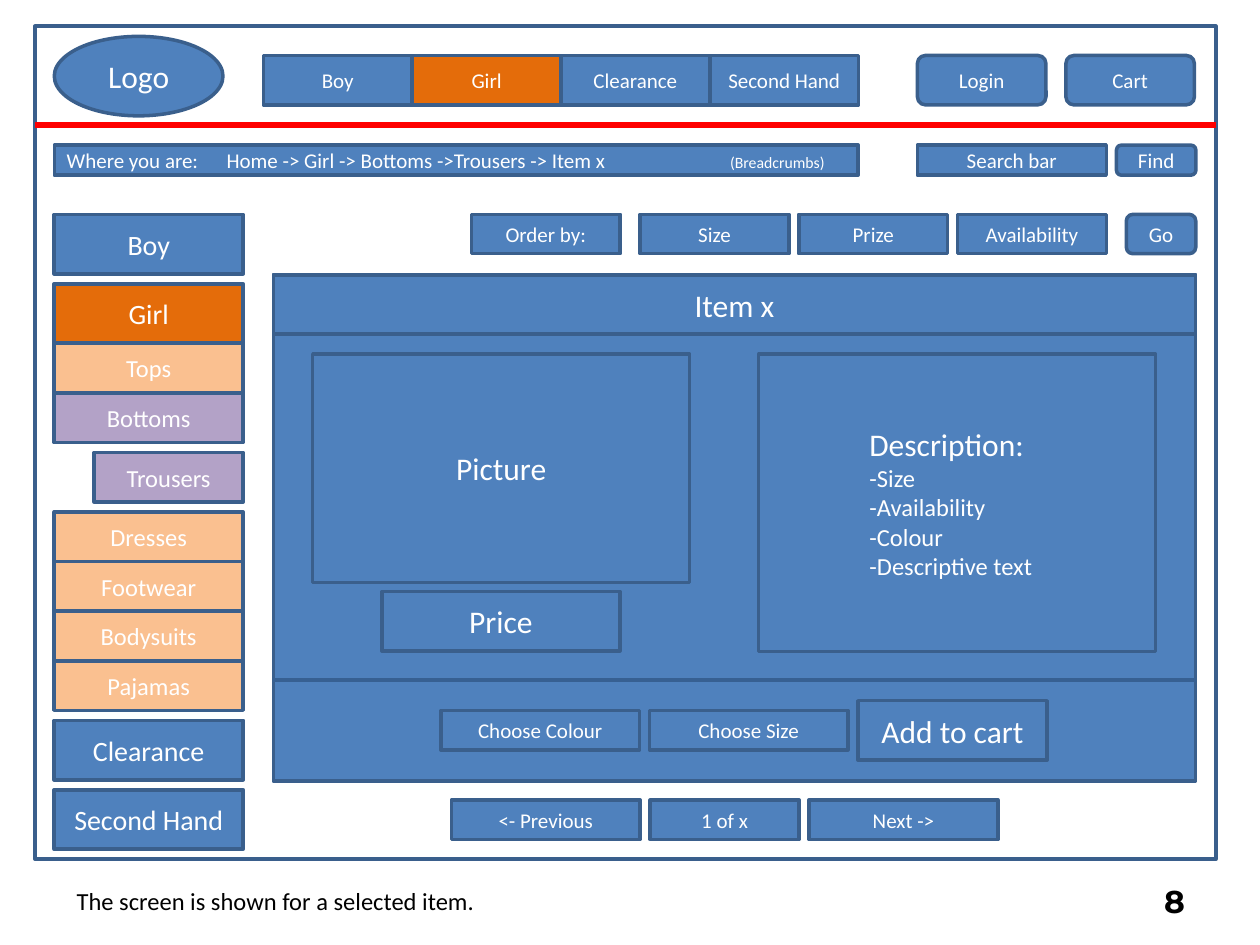
from lxml import etree
from pptx import Presentation
from pptx.dml.color import RGBColor
from pptx.enum.shapes import MSO_CONNECTOR, MSO_SHAPE
from pptx.enum.text import MSO_ANCHOR, PP_ALIGN
from pptx.oxml.ns import qn
from pptx.util import Pt

RECT, ROUND, OVAL = MSO_SHAPE.RECTANGLE, MSO_SHAPE.ROUNDED_RECTANGLE, MSO_SHAPE.OVAL
STRAIGHT = MSO_CONNECTOR.STRAIGHT
LEFT, CENTER, RIGHT = PP_ALIGN.LEFT, PP_ALIGN.CENTER, PP_ALIGN.RIGHT
TOP, MIDDLE = MSO_ANCHOR.TOP, MSO_ANCHOR.MIDDLE

BLUE, ORANGE, PEACH, PURPLE = "4F81BD", "E46C0A", "FAC090", "B3A2C7"
EDGE, DIVIDER, RED, WHITE, BLACK = "3A5F8C", "376092", "FF0000", "FFFFFF", "000000"
GAP = 5.67
SMALL, WIDE = 85.05, 108


def color(value):
    """Turn a hex string into a colour."""
    return RGBColor.from_string(value)


def set_tabs(para, stops):
    """Give a paragraph its tab stops as (position in points, alignment)."""
    tab_list = etree.SubElement(para._p.get_or_add_pPr(), qn("a:tabLst"))
    for position, alignment in stops:
        etree.SubElement(tab_list, qn("a:tab"), pos=str(Pt(position)), algn=alignment)


def write(box, paragraphs, size=12, ink=WHITE, font="Calibri", bold=False,
          align=CENTER, anchor=MIDDLE, tabs=()):
    """Write text; each paragraph is a string or a list of (text, size) spans."""
    frame = box.text_frame
    frame.word_wrap = True
    frame.vertical_anchor = anchor
    if isinstance(paragraphs, str):
        paragraphs = [paragraphs]
    for index, content in enumerate(paragraphs):
        para = frame.paragraphs[0] if index == 0 else frame.add_paragraph()
        para.alignment = align
        if tabs:
            set_tabs(para, tabs)
        spans = [(content, size)] if isinstance(content, str) else content
        for text, span_size in spans:
            span = para.add_run()
            span.text = text
            span.font.name = font
            span.font.size = Pt(span_size)
            span.font.bold = bold
            span.font.color.rgb = color(ink)


def add_block(page, left, top, width, height, text=None, kind=RECT, fill=BLUE, **style):
    """Add an outlined block with optional text."""
    block = page.shapes.add_shape(kind, Pt(left), Pt(top), Pt(width), Pt(height))
    block.shadow.inherit = False
    if fill:
        block.fill.solid()
        block.fill.fore_color.rgb = color(fill)
    else:
        block.fill.background()
    block.line.color.rgb = color(EDGE)
    block.line.width = Pt(2)
    if text:
        write(block, text, **style)
    return block


def add_row(page, left, top, height, items, gap=GAP, **style):
    """Add blocks side by side; items are (text, width)."""
    for text, width in items:
        add_block(page, left, top, width, height, text, **style)
        left += width + gap


def add_rule(page, left, top, width, ink, weight):
    """Add a horizontal line."""
    rule = page.shapes.add_connector(STRAIGHT, Pt(left), Pt(top), Pt(left + width), Pt(top))
    rule.line.color.rgb = color(ink)
    rule.line.width = Pt(weight)
    etree.SubElement(rule._element.spPr, qn("a:effectLst"))


def add_label(page, left, top, width, height, text, **style):
    """Add a plain text box."""
    write(page.shapes.add_textbox(Pt(left), Pt(top), Pt(width), Pt(height)), text, **style)


def header(page, left, top):
    """Draw the logo, the main navigation and the account buttons."""
    add_block(page, left, top, 96.4, 45.4, "Logo", kind=OVAL, size=18)
    for index, name in enumerate(("Boy", "Girl", "Clearance", "Second Hand")):
        add_block(page, left + 119.5 + index * SMALL, top + 10.9, SMALL, 28.3, name,
                  fill=ORANGE if name == "Girl" else BLUE)
    add_row(page, left + 493.2, top + 10.9, 28.3, [("Login", 73.5), ("Cart", 73.5)],
            gap=2 * GAP, kind=ROUND)


def search_row(page, left, top):
    """Draw the breadcrumb bar and the search field."""
    trail = "Where you are:\tHome -> Girl -> Bottoms ->Trousers -> Item x\t"
    add_block(page, left, top, 459.3, 17.2, [[(trail, 12), ("(Breadcrumbs) ", 9), (" ", 12)]],
              align=LEFT, tabs=[(91.4, "l"), (437.8, "r")])
    add_block(page, left + 493.2, top, WIDE, 17.2, "Search bar")
    add_block(page, left + 607, top, 45.4, 17.2, "Find", kind=ROUND)


def sort_row(page, left, top):
    """Draw the sorting controls."""
    add_block(page, left, top, SMALL, 22.5, "Order by:")
    names = ("Size", "Prize", "Availability")
    add_row(page, left + 96.4, top, 22.5, [(name, SMALL) for name in names])
    add_block(page, left + 374.2, top, 39.7, 22.5, "Go", kind=ROUND)


def side_menu(page, left, top):
    """Stack the category menu; entries are (text, fill, gap above)."""
    entries = [
        ("Boy", BLUE, 0), ("Girl", ORANGE, GAP), ("Tops", PEACH, 0),
        ("Bottoms", PURPLE, 0), ("Trousers", PURPLE, GAP), ("Dresses", PEACH, GAP),
        ("Footwear", PEACH, 0), ("Bodysuits", PEACH, 0), ("Pajamas", PEACH, 0),
        ("Clearance", BLUE, GAP), ("Second Hand", BLUE, GAP),
    ]
    for text, fill, gap in entries:
        main = fill in (BLUE, ORANGE)
        indent = 22.8 if text == "Trousers" else 0
        height = 34 if main else 28.35
        top += gap
        add_block(page, left + indent, top, WIDE - indent, height, text,
                  fill=fill, size=16 if main else 14)
        top += height


def item_panel(page, left, top, width, height):
    """Draw the selected item with its details and purchase controls."""
    add_block(page, left, top, width, height)
    add_block(page, left, top, width, 34, "Item x", size=18)
    add_block(page, left + 22.5, top + 45.4, 215.4, 130.4, "Picture", size=18)
    details = [[("\t", 14), ("Description:", 18)], "\t-Size", "\t-Availability",
               "\t-Colour", "\t-Descriptive text"]
    add_block(page, left + 277.3, top + 45.4, 226.8, 170, details, size=14,
              align=LEFT, tabs=[(56.2, "l")])
    add_block(page, left + 62, top + 181, 136, 34, "Price", size=18)
    add_rule(page, left, top + 231.8, width, DIVIDER, 2.25)
    add_row(page, left + 95.8, top + 249.1, 22.5,
            [("Choose Colour", 113.4), ("Choose Size", 113.4)])
    add_block(page, left + 334.1, top + 243.4, WIDE, 34, "Add to cart", size=18)


def pager(page, left, top):
    """Draw the page navigation."""
    add_row(page, left, top, 22.5, [("<- Previous", WIDE), ("1 of x", SMALL), ("Next ->", WIDE)])


def footer(page, left, top):
    """Write the caption and the page number."""
    add_label(page, left, top, 663, 24.5, "The screen is shown for a selected item. ",
              size=14, ink=BLACK, align=LEFT, anchor=TOP)
    add_label(page, left + 479.5, top - 2.2, 168, 28.8, "8", size=18, ink=BLACK,
              font="Montserrat", bold=True, align=RIGHT)


def main():
    """Build the deck with its single wireframe page."""
    deck = Presentation()
    deck.slide_width, deck.slide_height = Pt(720), Pt(540)
    page = deck.slides.add_slide(deck.slide_layouts[6])
    add_block(page, 20, 15, 674.8, 476, fill=None)
    add_rule(page, 20, 71.5, 674.8, RED, 3)
    header(page, 31, 20.8)
    search_row(page, 31, 82.9)
    sort_row(page, 269.4, 122.5)
    side_menu(page, 31, 122.5)
    item_panel(page, 156.2, 157, 527, 289.4)
    pager(page, 257.9, 457.2)
    footer(page, 36.7, 502.6)
    deck.save("out.pptx")


main()
